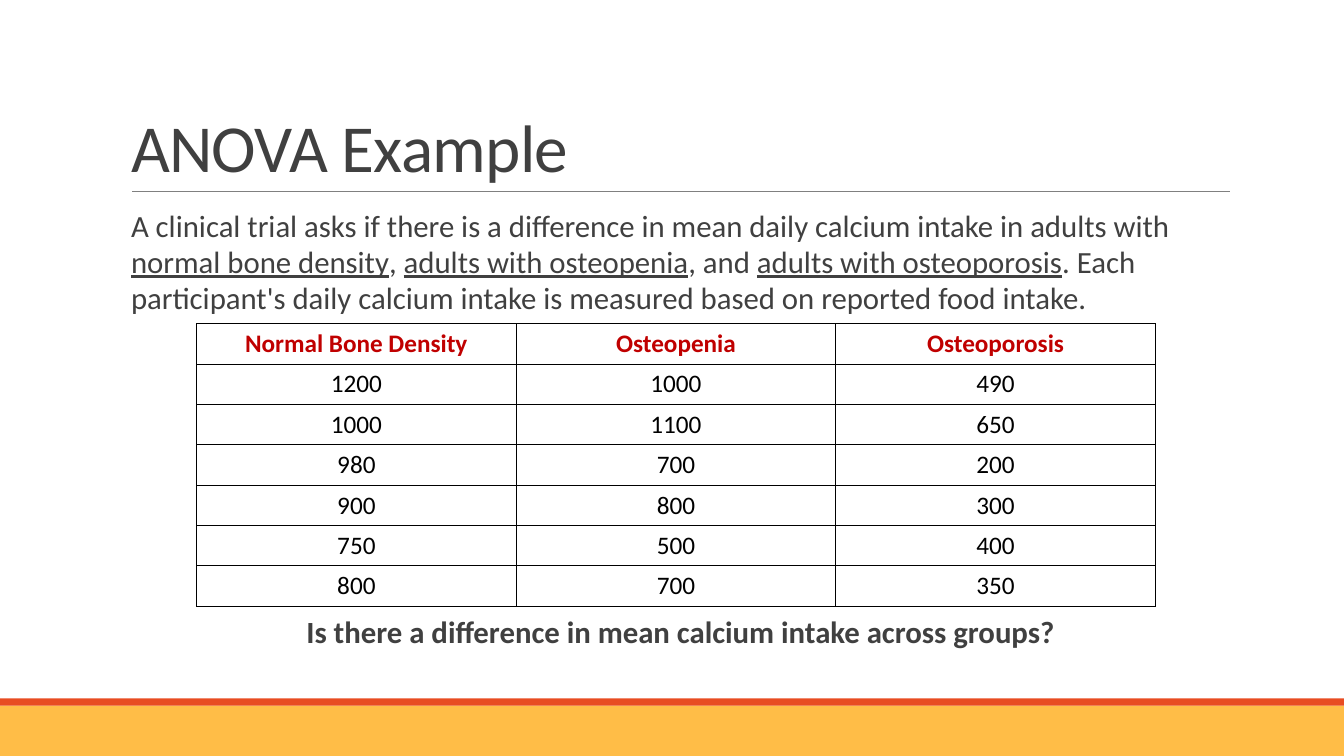
from dataclasses import dataclass

from lxml import etree
from pptx import Presentation
from pptx import util as u
from pptx.dml.color import RGBColor
from pptx.enum import shapes, text
from pptx.oxml.ns import qn


@dataclass(frozen=True)
class Theme:
    font: str = "Calibri"
    ink: str = "404040"
    black: str = "000000"
    white: str = "FFFFFF"
    heading: str = "C00000"
    rule: str = "808080"
    amber: str = "FFBD47"
    red: str = "E84C22"
    title_size: int = 48
    body_size: int = 22
    table_size: int = 18
    hairline: float = 0.5


THEME = Theme()
WIDTH, HEIGHT = 13.33, 7.5
LEFT, CONTENT_WIDTH = 1.3, 10.9
COLUMN, ROW = 3.17, 0.4

QUESTION = "Is there a difference in mean calcium intake across groups?"
# Each pair is a piece of text and whether it is underlined.
INTRO = [
    ("A clinical trial asks if there is a difference in mean daily calcium intake in adults with ", False),
    ("normal bone density", True),
    (", ", False),
    ("adults with osteopenia", True),
    (", and ", False),
    ("adults with osteoporosis", True),
    (". Each participant's daily calcium intake is measured based on reported food intake.", False),
]
CALCIUM_INTAKE = [
    ("Normal Bone Density", "Osteopenia", "Osteoporosis"),
    (1200, 1000, 490),
    (1000, 1100, 650),
    (980, 700, 200),
    (900, 800, 300),
    (750, 500, 400),
    (800, 700, 350),
]


def color(code):
    return RGBColor.from_string(code)


def write(para, pieces, size=THEME.body_size, ink=THEME.ink, bold=False,
          align=text.PP_ALIGN.LEFT, line_spacing=None, tracking=None):
    """Fill a paragraph with (text, underlined) pieces; tracking is in points."""
    para.alignment = align
    if line_spacing:
        para.line_spacing = line_spacing
    for words, underlined in pieces:
        span = para.add_run()
        span.text = words
        span.font.name = THEME.font
        span.font.size = u.Pt(size)
        span.font.bold = bold
        span.font.underline = underlined
        span.font.color.rgb = color(ink)
        if tracking:
            span.font._element.set("spc", str(int(tracking * 100)))


def add_text(page, top, height, pieces, anchor=text.MSO_ANCHOR.TOP, **style):
    box = page.shapes.add_textbox(u.Inches(LEFT), u.Inches(top),
                                  u.Inches(CONTENT_WIDTH), u.Inches(height))
    frame = box.text_frame
    frame.word_wrap = True
    frame.margin_left = frame.margin_right = 0
    frame.vertical_anchor = anchor
    write(frame.paragraphs[0], pieces, **style)


def add_band(page, top, height, fill):
    band = page.shapes.add_shape(shapes.MSO_SHAPE.RECTANGLE, 0, u.Inches(top),
                                 u.Inches(WIDTH), u.Inches(height))
    band.shadow.inherit = False
    band.fill.solid()
    band.fill.fore_color.rgb = color(fill)
    band.line.fill.background()


def add_rule(page, top):
    rule = page.shapes.add_connector(
        shapes.MSO_CONNECTOR.STRAIGHT, u.Inches(LEFT + 0.01), u.Inches(top),
        u.Inches(LEFT + CONTENT_WIDTH), u.Inches(top))
    rule.line.color.rgb = color(THEME.rule)
    rule.line.width = u.Pt(THEME.hairline)
    etree.SubElement(rule._element.spPr, qn("a:effectLst"))


def add_borders(cell):
    properties = cell._tc.get_or_add_tcPr()
    for index, side in enumerate(("lnL", "lnR", "lnT", "lnB")):
        line = etree.Element(qn(f"a:{side}"), w=str(u.Pt(THEME.hairline)))
        fill = etree.SubElement(line, qn("a:solidFill"))
        etree.SubElement(fill, qn("a:srgbClr"), val=THEME.black)
        properties.insert(index, line)


def add_data_table(page, left, top, rows):
    count = len(rows[0])
    table = page.shapes.add_table(
        len(rows), count, u.Inches(left), u.Inches(top),
        u.Inches(COLUMN * count), u.Inches(ROW * len(rows))).table
    for column in table.columns:
        column.width = u.Inches(COLUMN)
    for r, values in enumerate(rows):
        table.rows[r].height = u.Inches(ROW)
        for c, value in enumerate(values):
            cell = table.cell(r, c)
            cell.fill.solid()
            cell.fill.fore_color.rgb = color(THEME.white)
            add_borders(cell)
            write(cell.text_frame.paragraphs[0], [(str(value), False)],
                  size=THEME.table_size, bold=r == 0, align=text.PP_ALIGN.CENTER,
                  ink=THEME.heading if r == 0 else THEME.black)


def main():
    deck = Presentation()
    deck.slide_width, deck.slide_height = u.Inches(WIDTH), u.Inches(HEIGHT)
    page = deck.slides.add_slide(deck.slide_layouts[6])

    add_band(page, 7, 0.5, THEME.amber)
    add_band(page, 6.93, 0.07, THEME.red)
    add_rule(page, 1.9)
    add_text(page, 0.31, 1.59, [("ANOVA Example", False)], size=THEME.title_size,
             anchor=text.MSO_ANCHOR.BOTTOM, line_spacing=0.85, tracking=-0.5)
    add_text(page, 2.02, 1.2, INTRO, line_spacing=0.98)
    add_text(page, 6.05, 0.5, [(QUESTION, False)], bold=True,
             align=text.PP_ALIGN.CENTER, line_spacing=0.98)
    add_data_table(page, 1.95, 3.21, CALCIUM_INTAKE)
    deck.save("out.pptx")


if __name__ == "__main__":
    main()
